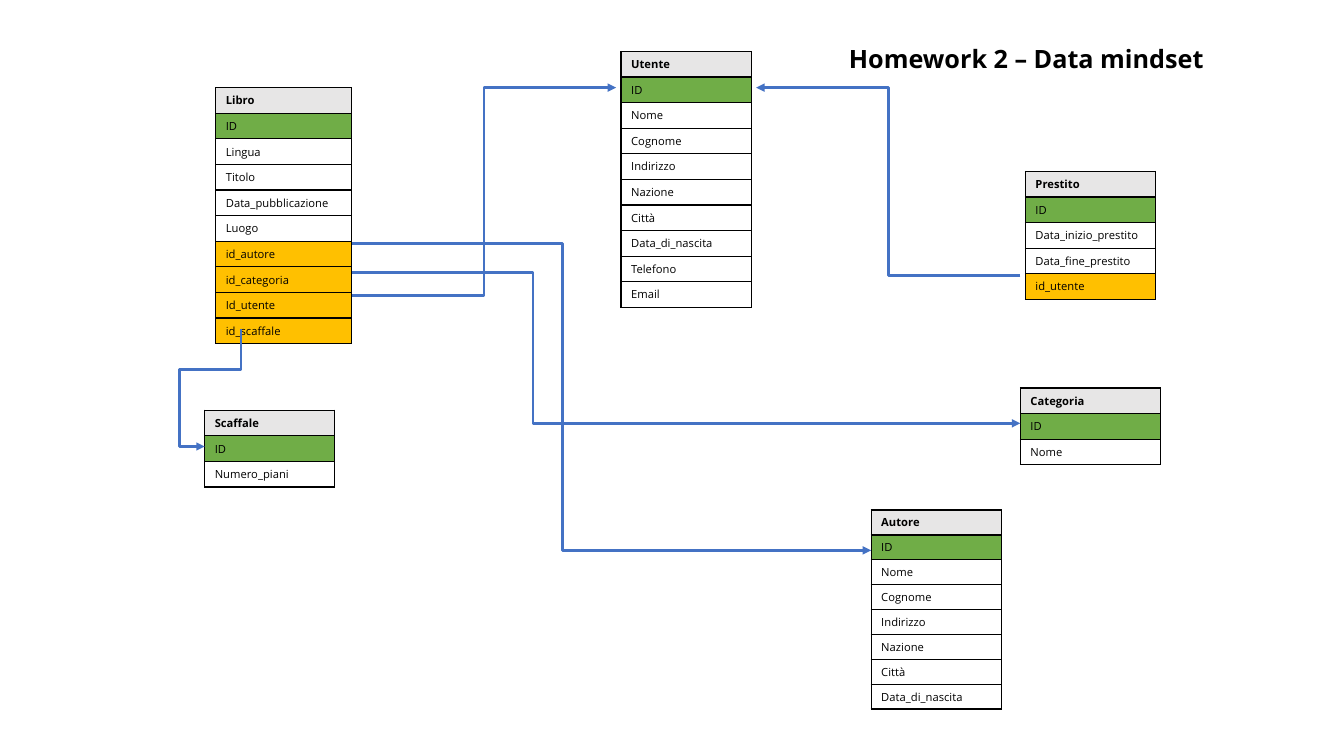
import pptx
import pptx.util
import pptx.dml.color
import pptx.enum.shapes
import pptx.enum.text
import pptx.oxml
import pptx.oxml.ns
from dataclasses import dataclass
from lxml import etree

Inches, Pt = pptx.util.Inches, pptx.util.Pt


@dataclass(frozen=True)
class Theme:
    """Colours, font and sizes of the diagram."""
    font: str = "Open Sans"
    ink: str = "000000"
    header: str = "E7E6E6"
    primary_key: str = "70AD47"
    foreign_key: str = "FFC000"
    field: str = "FFFFFF"
    link: str = "4472C4"
    title_size: float = 18
    cell_size: float = 8
    border_width: float = 1
    link_width: float = 2


THEME = Theme()
TITLE = "Homework 2 – Data mindset"
TITLE_BOX = (8.32, 0.38, 4.22, 0.4)
PERSON = ["ID", "Nome", "Cognome", "Indirizzo", "Nazione", "Città", "Data_di_nascita"]

# name, left, top, width (inches), row height (points), fields
ENTITIES = [
    ("Utente", 6.16, 0.51, 1.29, 18.3, PERSON + ["Telefono", "Email"]),
    ("Libro", 2.14, 0.87, 1.35, 18.3,
     ["ID", "Lingua", "Titolo", "Data_pubblicazione", "Luogo",
      "id_autore", "id_categoria", "Id_utente", "id_scaffale"]),
    ("Scaffale", 2.03, 4.07, 1.29, 18.3, ["ID", "Numero_piani"]),
    ("Categoria", 10.12, 3.85, 1.39, 18.3, ["ID", "Nome"]),
    ("Prestito", 10.17, 1.7, 1.29, 18.3,
     ["ID", "Data_inizio_prestito", "Data_fine_prestito", "id_utente"]),
    ("Autore", 8.64, 5.06, 1.29, 17.8, PERSON),
]

# start, x of the vertical run, end
LINKS = [
    ((3.49, 2.93), 4.8, (6.11, 0.87)),    # Libro to Utente
    ((10.12, 2.73), 8.81, (7.5, 0.87)),   # Prestito to Utente
    ((3.49, 2.7), 5.29, (10.12, 4.2)),    # Libro to Categoria
    ((3.49, 2.42), 5.58, (8.64, 5.46)),   # Libro to Autore
]
# Libro to Scaffale: start, corner (x, y), end
SHELF_LINK = ((2.39, 3.26), (1.78, 3.67), (2.03, 4.43))


def colour(value):
    """Turn a hex string into a colour."""
    return pptx.dml.color.RGBColor.from_string(value)


def format_text(text_frame, size, bold):
    """Give every run the theme font."""
    for paragraph in text_frame.paragraphs:
        for run in paragraph.runs:
            run.font.name = THEME.font
            run.font.size = Pt(size)
            run.font.bold = bold
            run.font.color.rgb = colour(THEME.ink)


def set_borders(cell):
    """Draw the four borders of a cell."""
    properties = cell._tc.get_or_add_tcPr()
    for index, side in enumerate("LRTB"):
        properties.insert(index, pptx.oxml.parse_xml(
            f'<a:ln{side} {pptx.oxml.ns.nsdecls("a")} w="{Pt(THEME.border_width)}">'
            f'<a:solidFill><a:srgbClr val="{THEME.ink}"/></a:solidFill></a:ln{side}>'))


def row_fill(index, text):
    """Choose a row colour from its role in the entity."""
    if index == 0:
        return THEME.header
    if text == "ID":
        return THEME.primary_key
    return THEME.foreign_key if text.lower().startswith("id_") else THEME.field


def add_entity(slide, name, left, top, width, row_height, fields):
    """Add one entity as a single-column table."""
    texts = [name] + fields
    table = slide.shapes.add_table(
        len(texts), 1, Inches(left), Inches(top), Inches(width),
        Pt(row_height * len(texts))).table
    table.first_row = table.horz_banding = False
    for index, text in enumerate(texts):
        table.rows[index].height = Pt(row_height)
        cell = table.cell(index, 0)
        cell.text_frame.text = text
        cell.margin_top = cell.margin_bottom = Inches(0.04)
        cell.vertical_anchor = pptx.enum.text.MSO_ANCHOR.MIDDLE
        cell.fill.solid()
        cell.fill.fore_color.rgb = colour(row_fill(index, text))
        format_text(cell.text_frame, THEME.cell_size, index == 0)
        set_borders(cell)


def add_elbow(slide, start, end, adjustments):
    """Add an elbow arrow whose bends are shares of its extent."""
    connector = slide.shapes.add_connector(
        pptx.enum.shapes.MSO_CONNECTOR.ELBOW, *(Inches(v) for v in start + end))
    connector.line.color.rgb = colour(THEME.link)
    connector.line.width = Pt(THEME.link_width)
    qn = pptx.oxml.ns.qn
    etree.SubElement(connector.line._get_or_add_ln(), qn("a:tailEnd"), type="triangle")
    properties = connector._element.spPr
    etree.SubElement(properties, qn("a:effectLst"))
    geometry = properties.find(qn("a:prstGeom"))
    geometry.set("prst", f"bentConnector{len(adjustments) + 2}")
    guides = geometry.get_or_add_avLst()
    for number, share in enumerate(adjustments, 1):
        etree.SubElement(guides, qn("a:gd"), name=f"adj{number}",
                         fmla=f"val {round(share * 100000)}")
    return connector


def add_shelf_link(slide, start, corner, end):
    """Add the arrow that leaves downwards, as an elbow turned by 90 degrees."""
    length, depth = end[1] - start[1], start[0] - end[0]
    middle_x, middle_y = (start[0] + end[0]) / 2, (start[1] + end[1]) / 2
    connector = add_elbow(
        slide, (middle_x - length / 2, middle_y - depth / 2),
        (middle_x + length / 2, middle_y + depth / 2),
        [(corner[1] - start[1]) / length, (start[0] - corner[0]) / depth])
    connector._element.spPr.xfrm.set("rot", str(90 * 60000))


def add_title(slide):
    """Place and format the title."""
    title = slide.shapes.title
    title.left, title.top, title.width, title.height = map(Inches, TITLE_BOX)
    frame = title.text_frame
    frame.text = TITLE
    frame.word_wrap = True
    frame.auto_size = pptx.enum.text.MSO_AUTO_SIZE.NONE
    frame.vertical_anchor = pptx.enum.text.MSO_ANCHOR.TOP
    frame.paragraphs[0].alignment = pptx.enum.text.PP_ALIGN.LEFT
    format_text(frame, THEME.title_size, True)


def main():
    """Build and save the slide."""
    presentation = pptx.Presentation()
    presentation.slide_width, presentation.slide_height = Inches(13.33), Inches(7.5)
    slide = presentation.slides.add_slide(presentation.slide_layouts[5])
    add_title(slide)
    for entity in ENTITIES:
        add_entity(slide, *entity)
    for start, bend, end in LINKS:
        add_elbow(slide, start, end, [(bend - start[0]) / (end[0] - start[0])])
    add_shelf_link(slide, *SHELF_LINK)
    presentation.save("out.pptx")


main()
